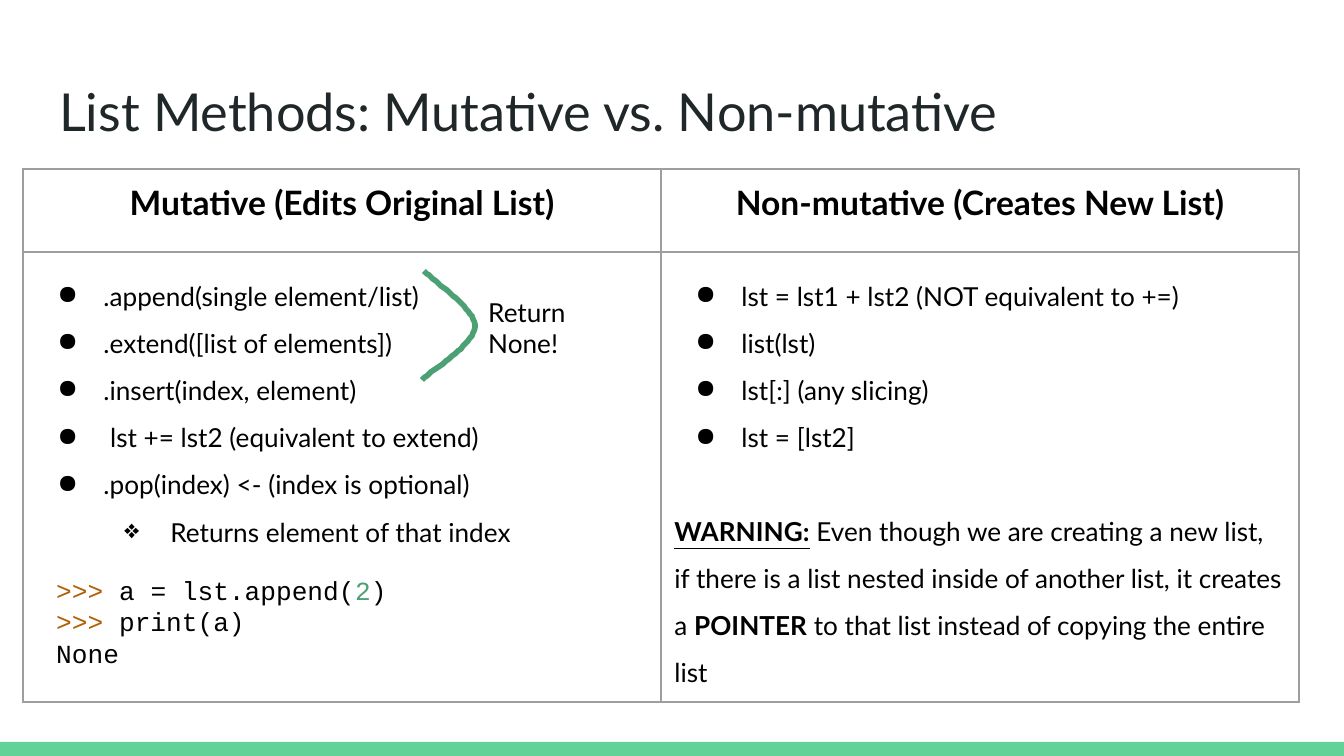
from dataclasses import dataclass

from lxml import etree
from pptx import Presentation
from pptx.dml.color import RGBColor
from pptx.enum import shapes, text
from pptx.oxml import ns
from pptx.util import Emu, Pt

EMU_PER_PX = 914400 / 134.4

BLACK = RGBColor(0x00, 0x00, 0x00)
TITLE_INK = RGBColor(0x20, 0x27, 0x29)
BAR_GREEN = RGBColor(0x63, 0xD2, 0x97)
CODE_GREEN = RGBColor(0x4B, 0xA1, 0x73)
PROMPT_ORANGE = RGBColor(0xB4, 0x5F, 0x06)
GRID_GRAY = RGBColor(0x9E, 0x9E, 0x9E)

BODY = {"name": "Lato", "size": Pt(14), "bold": False}
HEADER = {"name": "Lato", "size": Pt(18), "bold": True}
TITLE = {"name": "Lato", "size": Pt(28)}
CODE = {"name": "Courier New", "size": Pt(14)}
STRONG = {"bold": True}
WARNING = {"bold": True, "underline": True}


@dataclass
class Run:
    words: str
    color: RGBColor = BLACK
    extra: dict | None = None


@dataclass
class Line:
    runs: list[Run]
    bullet: str = ""
    margin: int = 0
    spacing: float = 1.0
    before: int = 0
    align: text.PP_ALIGN = text.PP_ALIGN.LEFT


def px(length: float) -> Emu:
    return Emu(round(length * EMU_PER_PX))


def add_element(parent, tag: str, **attributes: str):
    element = etree.SubElement(parent, ns.qn(tag))
    for name, value in attributes.items():
        element.set(name, value)
    return element


def set_margins(target) -> None:
    for side in ("left", "top", "right", "bottom"):
        setattr(target, f"margin_{side}", Pt(7.2))


def write_lines(frame, lines: list[Line], style: dict) -> None:
    for index, line in enumerate(lines):
        paragraph = frame.add_paragraph() if index else frame.paragraphs[0]
        paragraph.alignment = line.align
        paragraph.line_spacing = line.spacing
        paragraph.space_before = Pt(line.before)
        properties = paragraph._p.get_or_add_pPr()
        properties.set("marL", str(px(line.margin)))
        properties.set("indent", str(px(-46) if line.bullet else 0))
        if line.bullet:
            color = add_element(properties, "a:buClr")
            add_element(color, "a:srgbClr", val=str(BLACK))
            add_element(properties, "a:buChar", char=line.bullet)
        for part in line.runs:
            run = paragraph.add_run()
            run.text = part.words
            run.font.color.rgb = part.color
            for name, value in {**style, **(part.extra or {})}.items():
                setattr(run.font, name, value)


def add_text(slide, left: int, top: int, width: int, height: int,
             lines: list[Line], style: dict) -> None:
    box = slide.shapes.add_textbox(px(left), px(top), px(width), px(height))
    box.text_frame.word_wrap = True
    set_margins(box.text_frame)
    write_lines(box.text_frame, lines, style)


def fill_cell(cell, lines: list[Line], style: dict) -> None:
    set_margins(cell)
    write_lines(cell.text_frame, lines, style)
    properties = cell._tc.get_or_add_tcPr()
    for side in "LRTB":
        border = add_element(properties, f"a:ln{side}", w=str(Pt(0.75)))
        fill = add_element(border, "a:solidFill")
        add_element(fill, "a:srgbClr", val=str(GRID_GRAY))
    cell.fill.background()


def add_curve(slide, segments: list[tuple], steps: int = 24) -> None:
    """Draw joined cubic Bezier segments as one open line."""
    points = []
    for segment in segments:
        for step in range(steps + 1):
            t = step / steps
            weights = ((1 - t) ** 3, 3 * t * (1 - t) ** 2, 3 * t * t * (1 - t), t ** 3)
            points.append(tuple(sum(w * point[axis] for w, point in zip(weights, segment))
                                for axis in (0, 1)))
    builder = slide.shapes.build_freeform(*points[0], scale=EMU_PER_PX)
    builder.add_line_segments(points[1:], close=False)
    shape = builder.convert_to_shape()
    shape.shadow.inherit = False
    shape.fill.background()
    shape.line.color.rgb = CODE_GREEN
    shape.line.width = Pt(3)


def bullets(*items: str) -> list[Line]:
    return [Line([Run(item)], "●", 67, 1.5) for item in items]


def header(words: str) -> list[Line]:
    return [Line([Run(words)], align=text.PP_ALIGN.CENTER)]


MUTATIVE = bullets(
    ".append(single element/list)",
    ".extend([list of elements])",
    ".insert(index, element)",
    " lst += lst2 (equivalent to extend)",
    ".pop(index) <- (index is optional)",
) + [Line([Run("Returns element of that index")], "❖", 134, 1.5)]

NON_MUTATIVE = bullets(
    "lst = lst1 + lst2 (NOT equivalent to +=)",
    "list(lst)",
    "lst[:] (any slicing)",
    "lst = [lst2]",
) + [Line([
    Run("WARNING:", extra=WARNING),
    Run(" Even though we are creating a new list, if there is a list nested "
        "inside of another list, it creates a "),
    Run("POINTER", extra=STRONG),
    Run(" to that list instead of copying the entire list"),
], spacing=1.5, before=25)]

CODE_LINES = [
    Line([Run(">>> ", PROMPT_ORANGE), Run("a = lst.append("),
          Run("2", CODE_GREEN), Run(")")], margin=31),
    Line([Run(">>>", PROMPT_ORANGE), Run(" print(a)")], margin=31),
    Line([Run("None")], margin=31),
]


def main() -> None:
    presentation = Presentation()
    presentation.slide_width, presentation.slide_height = px(1344), px(756)
    slide = presentation.slides.add_slide(presentation.slide_layouts[6])

    # Bottom bar and title
    bar = slide.shapes.add_shape(shapes.MSO_SHAPE.RECTANGLE, px(0), px(742), px(1344), px(14))
    bar.shadow.inherit = False
    bar.fill.solid()
    bar.fill.fore_color.rgb = BAR_GREEN
    bar.line.fill.background()
    add_text(slide, 46, 66, 1252, 85,
             [Line([Run("List Methods: Mutative vs. Non-mutative", TITLE_INK)])], TITLE)

    # Comparison table
    table = slide.shapes.add_table(2, 2, px(23), px(169), px(1276), px(533)).table
    table.first_row = table.horz_banding = False
    for column in table.columns:
        column.width = px(638)
    for row, height in zip(table.rows, (83, 450)):
        row.height = px(height)
    columns = ((header("Mutative (Edits Original List)"), MUTATIVE),
               (header("Non-mutative (Creates New List)"), NON_MUTATIVE))
    for index, (heading, body) in enumerate(columns):
        fill_cell(table.cell(0, index), heading, HEADER)
        fill_cell(table.cell(1, index), body, BODY)

    # Curve and its label
    add_text(slide, 475, 283, 117, 85, [Line([Run("Return")]), Line([Run("None!")])], BODY)
    add_curve(slide, [((424, 271), (433, 281), (475, 308), (475, 326)),
                      ((475, 326), (475, 344), (431, 371), (422, 380))])

    # Code example
    add_text(slide, 12, 561, 462, 130, CODE_LINES, CODE)

    presentation.save("out.pptx")


if __name__ == "__main__":
    main()
